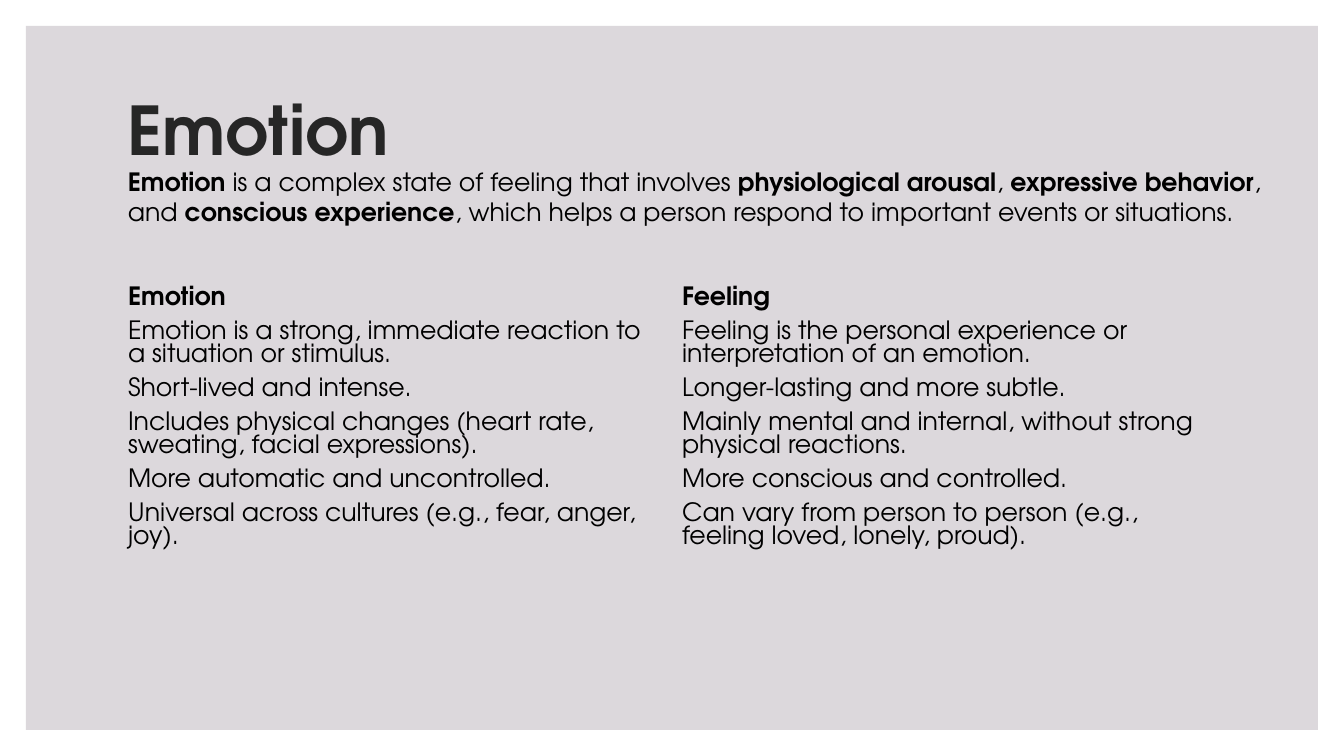
from pptx import Presentation, util as u
from pptx.dml.color import RGBColor
from pptx.enum import shapes, text

FONT = "TeX Gyre Adventor"
PANEL = RGBColor(0xDC, 0xD8, 0xDC)
CHARCOAL = RGBColor(0x26, 0x26, 0x26)
BLACK = RGBColor(0, 0, 0)
NO_STYLE_NO_GRID = "{2D5ABB26-0587-4C30-8999-92F81FD0307C}"

TITLE = [("Emotion", True)]
DEFINITION = [
    ("Emotion", True),
    (" is a complex state of feeling that involves ", False),
    ("physiological arousal", True),
    (", ", False),
    ("expressive behavior", True),
    (", and ", False),
    ("conscious experience", True),
    (", which helps a person respond to important events or situations.", False),
]
# Each row: lines of text it takes, then its two cells
COMPARISON = [
    (1, "Emotion", "Feeling"),
    (2, "Emotion is a strong, immediate reaction to a situation or stimulus.",
     "Feeling is the personal experience or interpretation of an emotion."),
    (1, "Short-lived and intense.", "Longer-lasting and more subtle."),
    (2, "Includes physical changes (heart rate, sweating, facial expressions).",
     "Mainly mental and internal, without strong physical reactions."),
    (1, "More automatic and uncontrolled.", "More conscious and controlled."),
    (2, "Universal across cultures (e.g., fear, anger, joy).",
     "Can vary from person to person (e.g., feeling loved, lonely, proud)."),
]
ROW_HEIGHTS = {1: 33, 2: 57}
LEFT, COLUMN_WIDTH, TABLE_TOP = 118, 554, 282


def px(length):
    return u.Emu(round(length * 914400 / 100.8))


def write(para, spans, size, color):
    """Add (wording, bold) spans to a paragraph."""
    for wording, bold in spans:
        span = para.add_run()
        span.text = wording
        span.font.name, span.font.size, span.font.bold = FONT, u.Pt(size), bold
        span.font.color.rgb = color


def add_text(page, bounds, spans, size, color, anchor, spacing):
    box = page.shapes.add_textbox(*map(px, bounds))
    frame = box.text_frame
    frame.word_wrap = True
    frame.vertical_anchor = anchor
    para = frame.paragraphs[0]
    para.line_spacing = spacing
    write(para, spans, size, color)


def add_comparison(page):
    heights = [ROW_HEIGHTS[lines] for lines, *_ in COMPARISON]
    frame = page.shapes.add_table(
        len(COMPARISON), 2, px(LEFT), px(TABLE_TOP), px(2 * COLUMN_WIDTH), px(sum(heights)))
    table = frame.table
    table.first_row = table.horz_banding = False
    table._tbl.tblPr.find("{*}tableStyleId").text = NO_STYLE_NO_GRID
    for row, height, (_, *wordings) in zip(table.rows, heights, COMPARISON):
        row.height = px(height)
        for cell, wording in zip(row.cells, wordings):
            cell.fill.background()
            cell.vertical_anchor = text.MSO_ANCHOR.MIDDLE
            para = cell.text_frame.paragraphs[0]
            para.line_spacing = u.Pt(16.8)
            write(para, [(wording, row is table.rows[0] or wording in ("Emotion", "Feeling"))],
                  18, BLACK)


def main():
    deck = Presentation()
    deck.slide_width, deck.slide_height = px(1344), px(756)
    page = deck.slides.add_slide(deck.slide_layouts[6])

    panel = page.shapes.add_shape(
        shapes.MSO_SHAPE.RECTANGLE, *map(px, (26, 26, 1292, 704)))
    panel.shadow.inherit = False
    panel.fill.solid()
    panel.fill.fore_color.rgb = PANEL
    panel.line.fill.background()

    add_text(page, (LEFT, 58, 1109, 151), TITLE, 48, CHARCOAL, text.MSO_ANCHOR.MIDDLE, 0.9)
    add_text(page, (LEFT, 161, 1173, 502), DEFINITION, 18, BLACK, text.MSO_ANCHOR.TOP, 1.0)
    add_comparison(page)
    deck.save("out.pptx")


if __name__ == "__main__":
    main()
